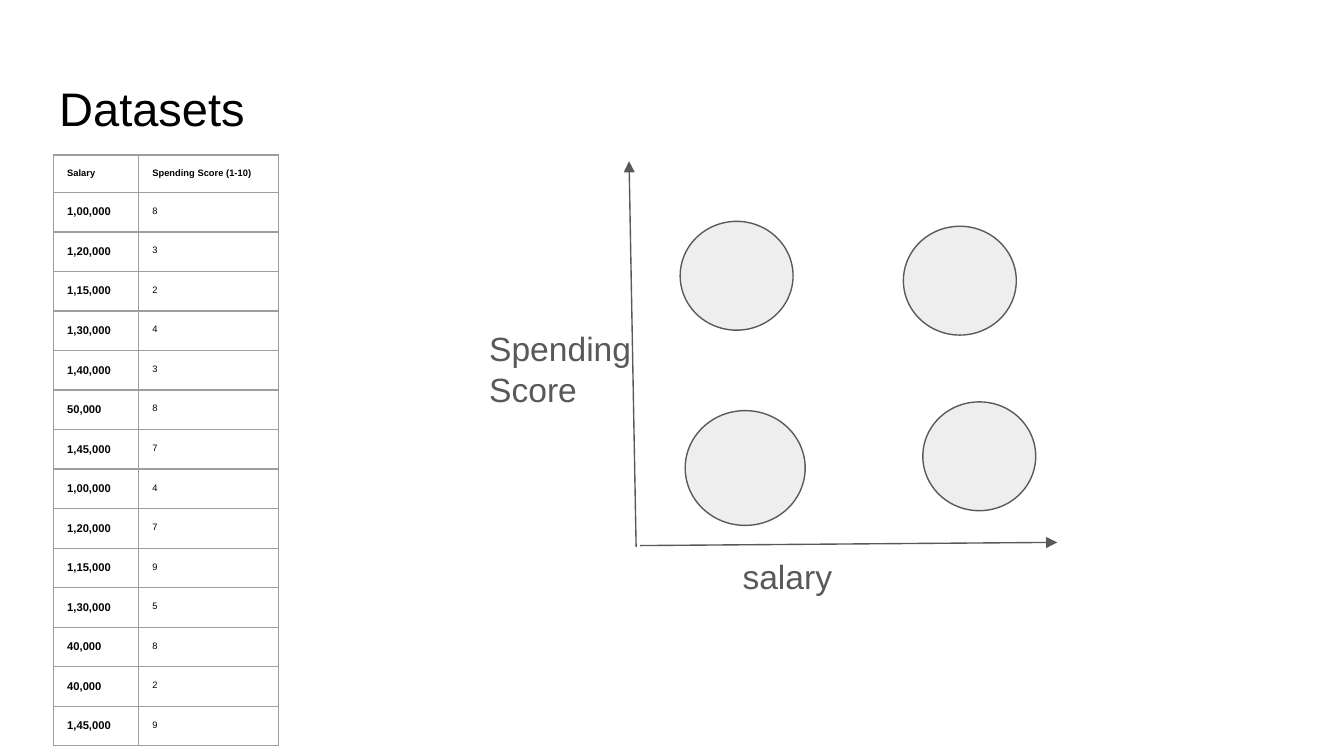
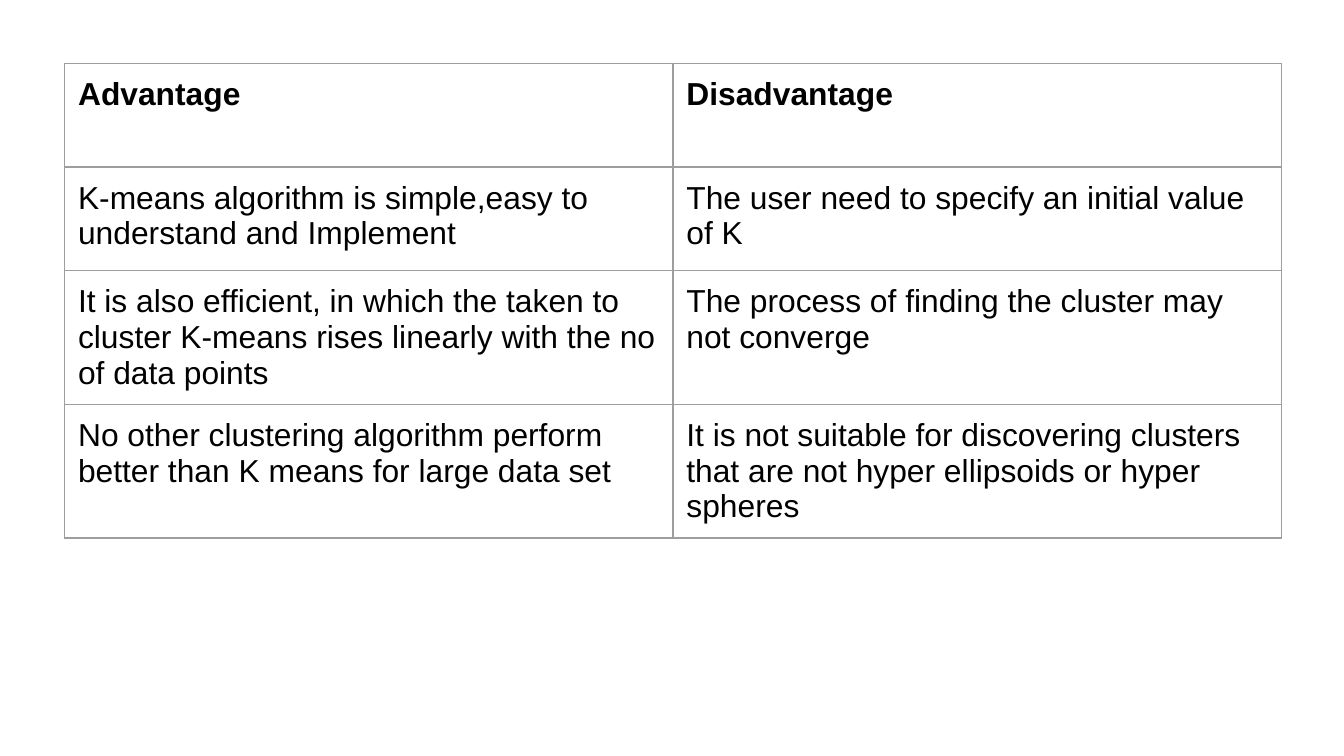
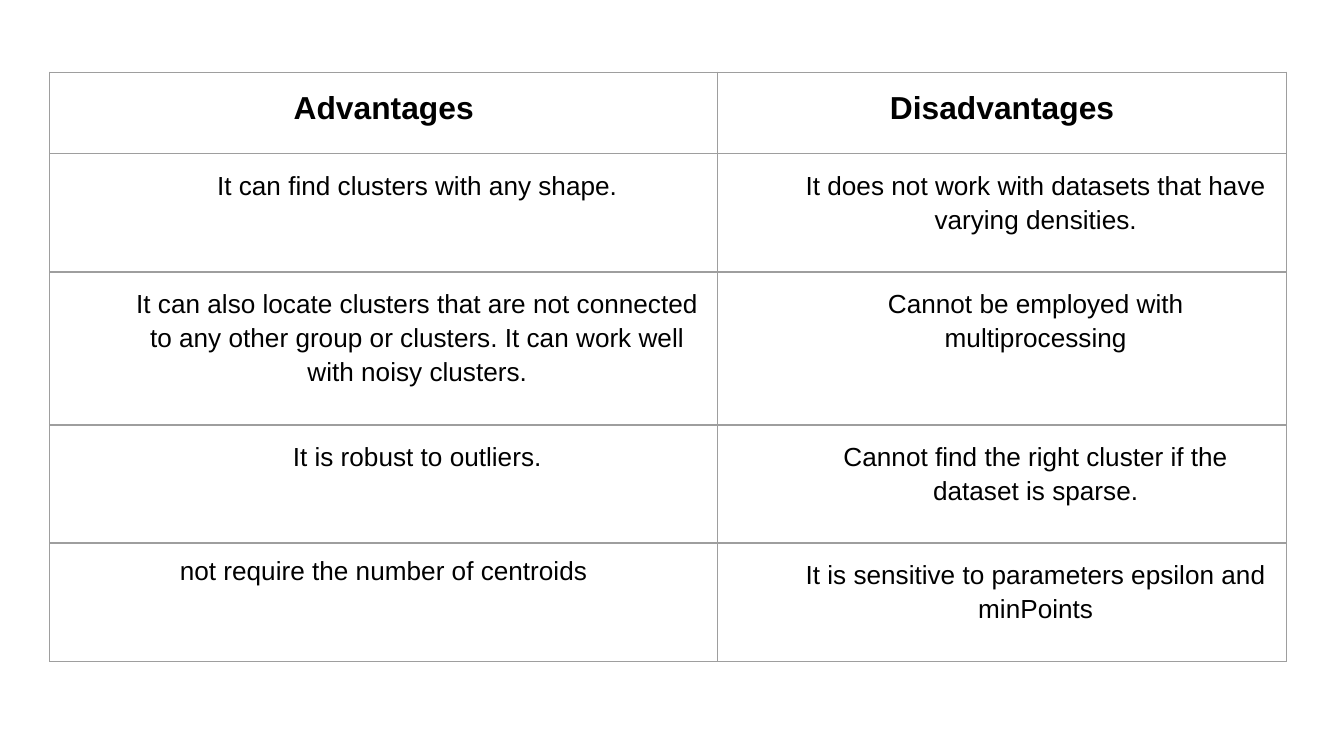
from dataclasses import dataclass

from lxml.etree import SubElement
from pptx import Presentation
from pptx.dml.color import RGBColor as RGB
from pptx.enum.shapes import MSO_CONNECTOR as CONNECTOR, MSO_SHAPE as SHAPE
from pptx.enum.text import MSO_ANCHOR as ANCHOR, PP_ALIGN as ALIGN
from pptx.oxml import parse_xml
from pptx.oxml.ns import nsdecls, qn
from pptx.util import Pt


@dataclass(frozen=True)
class Theme:
    font: str = "Arial"
    ink: str = "000000"
    muted: str = "595959"
    disc: str = "EEEEEE"
    grid: str = "9E9E9E"
    title: float = 25.2
    label: float = 18
    table: float = 17
    body: float = 14
    salary: float = 6
    score: float = 5
    line: float = 0.75
    inset: float = 7.2


@dataclass(frozen=True)
class CellStyle:
    size: float
    bold: bool = False
    align: ALIGN = ALIGN.LEFT
    indent: float = 0
    spacing: float = 1
    after: float = 0


class Deck:
    def __init__(self, theme):
        self.theme = theme
        self.prs = Presentation()
        self.prs.slide_width, self.prs.slide_height = Pt(720), Pt(405)
        self.s = None

    def slide(self, title=None):
        layout = self.prs.slide_layouts[6 if title is None else 5]
        self.s = self.prs.slides.add_slide(layout)
        if title is not None:
            sp = self.s.shapes.title
            sp.left, sp.top, sp.width, sp.height = Pt(24.5), Pt(35), Pt(671), Pt(45.1)
            self.fill_text(sp.text_frame, title, self.theme.title, self.theme.ink)
            sp.text_frame.vertical_anchor = ANCHOR.BOTTOM

    def inset(self, target):
        target.margin_left = target.margin_right = Pt(self.theme.inset)
        target.margin_top = target.margin_bottom = Pt(self.theme.inset)

    def style(self, p, size, color, bold=False, align=ALIGN.LEFT):
        p.alignment = align
        for r in p.runs:
            r.font.name, r.font.size, r.font.bold = self.theme.font, Pt(size), bold
            r.font.color.rgb = RGB.from_string(color)

    def fill_text(self, tf, text, size, color):
        tf.text = text
        tf.word_wrap = True
        self.inset(tf)
        self.style(tf.paragraphs[0], size, color)

    def label(self, text, x, y, w, h):
        tf = self.s.shapes.add_textbox(Pt(x), Pt(y), Pt(w), Pt(h)).text_frame
        self.fill_text(tf, text, self.theme.label, self.theme.muted)

    def outline(self, shape):
        shape.line.color.rgb = RGB.from_string(self.theme.muted)
        shape.line.width = Pt(self.theme.line)

    def circle(self, x, y, w, h):
        sp = self.s.shapes.add_shape(SHAPE.OVAL, Pt(x), Pt(y), Pt(w), Pt(h))
        sp.shadow.inherit = False
        sp.fill.solid()
        sp.fill.fore_color.rgb = RGB.from_string(self.theme.disc)
        self.outline(sp)

    def arrow(self, x1, y1, x2, y2):
        cx = self.s.shapes.add_connector(
            CONNECTOR.STRAIGHT, Pt(x1), Pt(y1), Pt(x2), Pt(y2))
        self.outline(cx)
        spPr = cx.element.spPr
        SubElement(spPr.find(qn("a:ln")), qn("a:tailEnd"), type="triangle")
        SubElement(spPr, qn("a:effectLst"))

    def borders(self, frame):
        for tcPr in frame.element.iter(qn("a:tcPr")):
            for i, side in enumerate("LRTB"):
                tcPr.insert(i, parse_xml(
                    f'<a:ln{side} {nsdecls("a")} w="{Pt(self.theme.line)}"><a:solidFill>'
                    f'<a:srgbClr val="{self.theme.grid}"/></a:solidFill></a:ln{side}>'))

    def table(self, x, y, widths, heights, rows, style_of):
        frame = self.s.shapes.add_table(
            len(rows), len(widths), Pt(x), Pt(y), Pt(sum(widths)), Pt(sum(heights)))
        table = frame.table
        table.first_row = table.horz_banding = False
        for column, width in zip(table.columns, widths):
            column.width = Pt(width)
        for i, (values, height) in enumerate(zip(rows, heights)):
            table.rows[i].height = Pt(height)
            for j, text in enumerate(values):
                self.cell(table.cell(i, j), text, style_of(i, j))
        self.borders(frame)

    def cell(self, cell, text, style):
        self.inset(cell)
        cell.fill.background()
        cell.text_frame.text = text
        p = cell.text_frame.paragraphs[0]
        if style.indent:
            p._p.get_or_add_pPr().set("marL", str(Pt(style.indent)))
        p.line_spacing = style.spacing
        p.space_after = Pt(style.after)
        self.style(p, style.size, self.theme.ink, style.bold, style.align)


SALARY_SCORES = [
    ("Salary", "Spending Score (1-10)"),
    ("1,00,000", "8"), ("1,20,000", "3"), ("1,15,000", "2"), ("1,30,000", "4"),
    ("1,40,000", "3"), ("50,000", "8"), ("1,45,000", "7"), ("1,00,000", "4"),
    ("1,20,000", "7"), ("1,15,000", "9"), ("1,30,000", "5"), ("40,000", "8"),
    ("40,000", "2"), ("1,45,000", "9"),
]

KMEANS = [
    ("Advantage", "Disadvantage"),
    ("K-means algorithm is simple,easy to understand and Implement",
     "The user need to specify an initial value of K"),
    ("It is also efficient, in which the taken to cluster K-means rises linearly "
     "with the no of data points",
     "The process of finding the cluster may not converge"),
    ("No other clustering algorithm perform better than K means for large data set",
     "It is not suitable for discovering clusters that are not hyper ellipsoids "
     "or hyper spheres"),
]

DENSITY = [
    ("Advantages", "Disadvantages"),
    ("It can find clusters with any shape.",
     "It does not work with datasets that have varying densities."),
    ("It can also locate clusters that are not connected to any other group or "
     "clusters. It can work well with noisy clusters.",
     "Cannot be employed with multiprocessing"),
    ("It is robust to outliers.",
     "Cannot find the right cluster if the dataset is sparse."),
    ("not require the number of centroids",
     "It is sensitive to parameters epsilon and minPoints"),
]


def datasets(deck):
    theme = deck.theme
    header = CellStyle(theme.score, bold=True)
    salary = CellStyle(theme.salary, bold=True)
    score = CellStyle(theme.score)

    def style_of(i, j):
        return header if i == 0 else (salary, score)[j]

    deck.slide("Datasets")
    deck.table(28.8, 83, (45.6, 74.9), [18.9] * len(SALARY_SCORES),
               SALARY_SCORES, style_of)
    deck.arrow(342.9, 292.3, 566.4, 290.6)
    deck.arrow(340.8, 293, 337, 86.4)
    deck.label("salary", 390.7, 290.9, 164.2, 36)
    deck.label("Spending Score", 255, 168.7, 91.4, 58.3)
    for x, y, w, h in ((364.4, 118.6, 60.5, 58.3), (367.1, 220, 64.3, 61.5),
                       (484, 121.2, 60.5, 58.3), (494.4, 215.3, 60.5, 58.3)):
        deck.circle(x, y, w, h)


def kmeans(deck):
    header = CellStyle(deck.theme.table, bold=True)
    body = CellStyle(deck.theme.table)
    deck.slide()
    deck.table(34.6, 34, (325.9, 325.9), (55.5, 55.5, 53.3, 53.3), KMEANS,
               lambda i, j: body if i else header)


def density(deck):
    theme = deck.theme
    header = CellStyle(theme.table, True, ALIGN.CENTER, spacing=1.15, after=4)
    body = CellStyle(theme.body, False, ALIGN.CENTER, 36, 1.15, 12)
    plain = CellStyle(theme.body, align=ALIGN.CENTER)

    def style_of(i, j):
        if i == 0:
            return header
        return plain if (i, j) == (4, 0) else body

    deck.slide()
    deck.table(26.6, 38.7, (358, 304.6), (43.7, 63.3, 82, 63.3, 63.3),
               DENSITY, style_of)


def main():
    deck = Deck(Theme())
    datasets(deck)
    kmeans(deck)
    density(deck)
    deck.prs.save("out.pptx")


if __name__ == "__main__":
    main()
